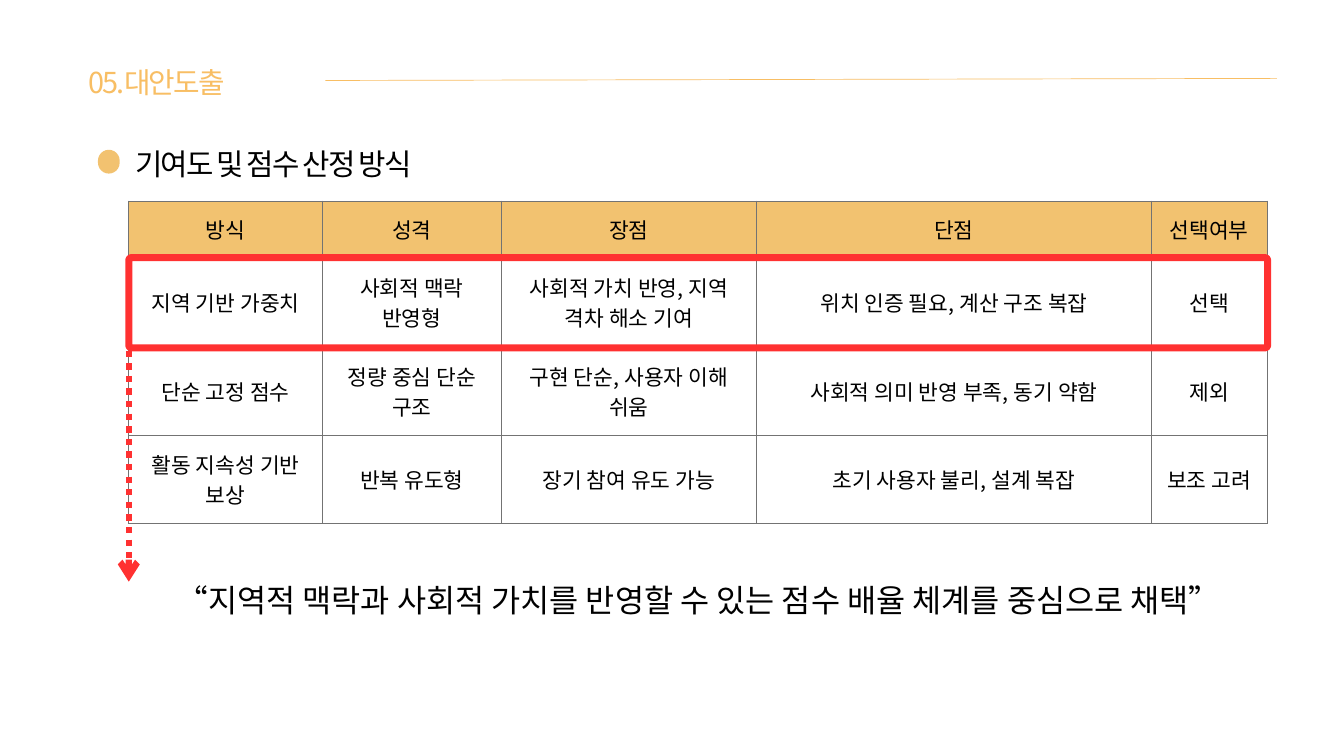
from lxml.etree import SubElement
from pptx import Presentation
from pptx.dml.color import RGBColor as RGB
from pptx.enum.dml import MSO_LINE as Dash
from pptx.enum.shapes import MSO_CONNECTOR as Link, MSO_SHAPE as Kind
from pptx.enum.text import MSO_ANCHOR as Anchor, MSO_AUTO_SIZE as Fit, PP_ALIGN as Align
from pptx.oxml.ns import qn
from pptx.util import Emu, Pt

FONT = "Noto Sans CJK KR"
HUES = {"ink": "000000", "gold": "F8BE64", "sand": "F2C270", "red": "FF3131", "grey": "737373"}
COLS = [277, 255, 365, 564, 165]
ROWS = [82, 123, 123, 123]
CELLS = [
    ["방식", "성격", "장점", "단점", "선택여부"],
    ["지역 기반 가중치", "사회적 맥락 반영형", "사회적 가치 반영, 지역 격차 해소 기여",
     "위치 인증 필요, 계산 구조 복잡", "선택"],
    ["단순 고정 점수", "정량 중심 단순 구조", "구현 단순, 사용자 이해 쉬움",
     "사회적 의미 반영 부족, 동기 약함", "제외"],
    ["활동 지속성 기반 보상", "반복 유도형", "장기 참여 유도 가능",
     "초기 사용자 불리, 설계 복잡", "보조 고려"],
]


def px(num):
    """Turn px into EMU, at 96 px to the inch."""
    return Emu(num * 9525)


def hue(name):
    """Look up a colour by name."""
    return RGB.from_string(HUES[name])


def style(para, size, lead, color="ink", align=Align.LEFT, track=0):
    """Set the font, leading and alignment of a paragraph."""
    para.alignment, para.line_spacing = align, Pt(lead)
    para.space_before = para.space_after = Pt(0)
    font = para.font
    font.name, font.size = FONT, Pt(size)
    font.color.rgb = hue(color)
    props = para._p.pPr.find(qn("a:defRPr"))
    props.set("spc", str(track * 100))
    SubElement(props, qn("a:ea"), typeface=FONT)


def write(shape, box, text, *look, **more):
    """Place a text shape without insets and fill it with one paragraph."""
    shape.left, shape.top, shape.width, shape.height = map(px, box)
    frame = shape.text_frame
    frame.word_wrap, frame.auto_size = True, Fit.SHAPE_TO_FIT_TEXT
    frame.vertical_anchor = Anchor.TOP
    frame.margin_left = frame.margin_right = frame.margin_top = frame.margin_bottom = 0
    frame.text = text
    style(frame.paragraphs[0], *look, **more)


def label(slide, box, text, *look, **more):
    """Add a text box."""
    write(slide.shapes.add_textbox(0, 0, 0, 0), box, text, *look, **more)


def line(slide, start, end, color, width):
    """Add a straight line without a shadow."""
    link = slide.shapes.add_connector(Link.STRAIGHT, *map(px, (*start, *end)))
    link.line.color.rgb, link.line.width = hue(color), Pt(width)
    SubElement(link._element.spPr, qn("a:effectLst"))
    return link


def round_box(slide, box, bend):
    """Add a rounded box with the given corner ratio."""
    shape = slide.shapes.add_shape(Kind.ROUNDED_RECTANGLE, *map(px, box))
    shape.shadow.inherit = False
    shape.adjustments[0] = bend
    return shape


def head(slide, x, y, w):
    """Draw the section title and the rule beside it."""
    line(slide, (x + 339, y + 31), (x + w, y + 28), "gold", 0.75)
    write(slide.shapes.title, (x, y, 339, 56), "05.대안도출", 30.9, 43.3, "gold", track=-2)


def topic(slide, x, y, w):
    """Draw the round marker and the topic heading."""
    dot = round_box(slide, (x, y + 14, 31, 34), 0.5)
    dot.fill.solid()
    dot.fill.fore_color.rgb = hue("sand")
    dot.line.fill.background()
    label(slide, (x + 53, y, w - 53, 56), "기여도 및 점수 산정 방식", 31.9, 44.7, track=-2)


def edge(cell):
    """Draw thin borders on all four sides of a cell."""
    props = cell._tc.get_or_add_tcPr()
    for side in "LRTB":
        rim = SubElement(props, qn(f"a:ln{side}"), w=str(Pt(0.75)))
        SubElement(SubElement(rim, qn("a:solidFill")), qn("a:srgbClr"), val=HUES["grey"])


def grid(slide, x, y):
    """Draw the table that compares the methods."""
    frame = slide.shapes.add_table(
        len(ROWS), len(COLS), *map(px, (x, y, sum(COLS), sum(ROWS))))
    table = frame.table
    table.first_row = table.horz_banding = False
    for col, wide in zip(table.columns, COLS):
        col.width = px(wide)
    for r, (row, high) in enumerate(zip(table.rows, ROWS)):
        row.height = px(high)
        for cell, text in zip(row.cells, CELLS[r]):
            edge(cell)
            if r == 0:
                cell.fill.solid()
                cell.fill.fore_color.rgb = hue("sand")
            else:
                cell.fill.background()
            cell.margin_left = cell.margin_right = cell.margin_top = cell.margin_bottom = px(20)
            cell.vertical_anchor = Anchor.MIDDLE
            cell.text = text
            style(cell.text_frame.paragraphs[0], 23, 32.2, align=Align.CENTER)


def choice(slide, x, y, w, h):
    """Frame the chosen row and point down from it to the conclusion."""
    frame = round_box(slide, (x, y, w, h), 0.03)
    frame.fill.background()
    frame.line.color.rgb, frame.line.width = hue("red"), Pt(7.5)
    arrow = line(slide, (x, y + 79), (x, y + 463), "red", 6.75)
    arrow.line.dash_style = Dash.ROUND_DOT
    SubElement(arrow.get_or_add_ln(), qn("a:tailEnd"), type="arrow")


def main():
    """Build the slide and save it."""
    deck = Presentation()
    deck.slide_width, deck.slide_height = px(1920), px(1080)
    slide = deck.slides.add_slide(deck.slide_layouts[5])
    head(slide, 126, 84, 1698)
    topic(slide, 140, 200, 1233)
    grid(slide, 184, 287)
    choice(slide, 184, 368, 1627, 129)
    label(slide, (251, 821, 1496, 60),
          "“지역적 맥락과 사회적 가치를 반영할 수 있는 점수 배율 체계를 중심으로 채택”",
          33.9, 47.5, align=Align.CENTER)
    deck.save("out.pptx")


if __name__ == "__main__":
    main()
